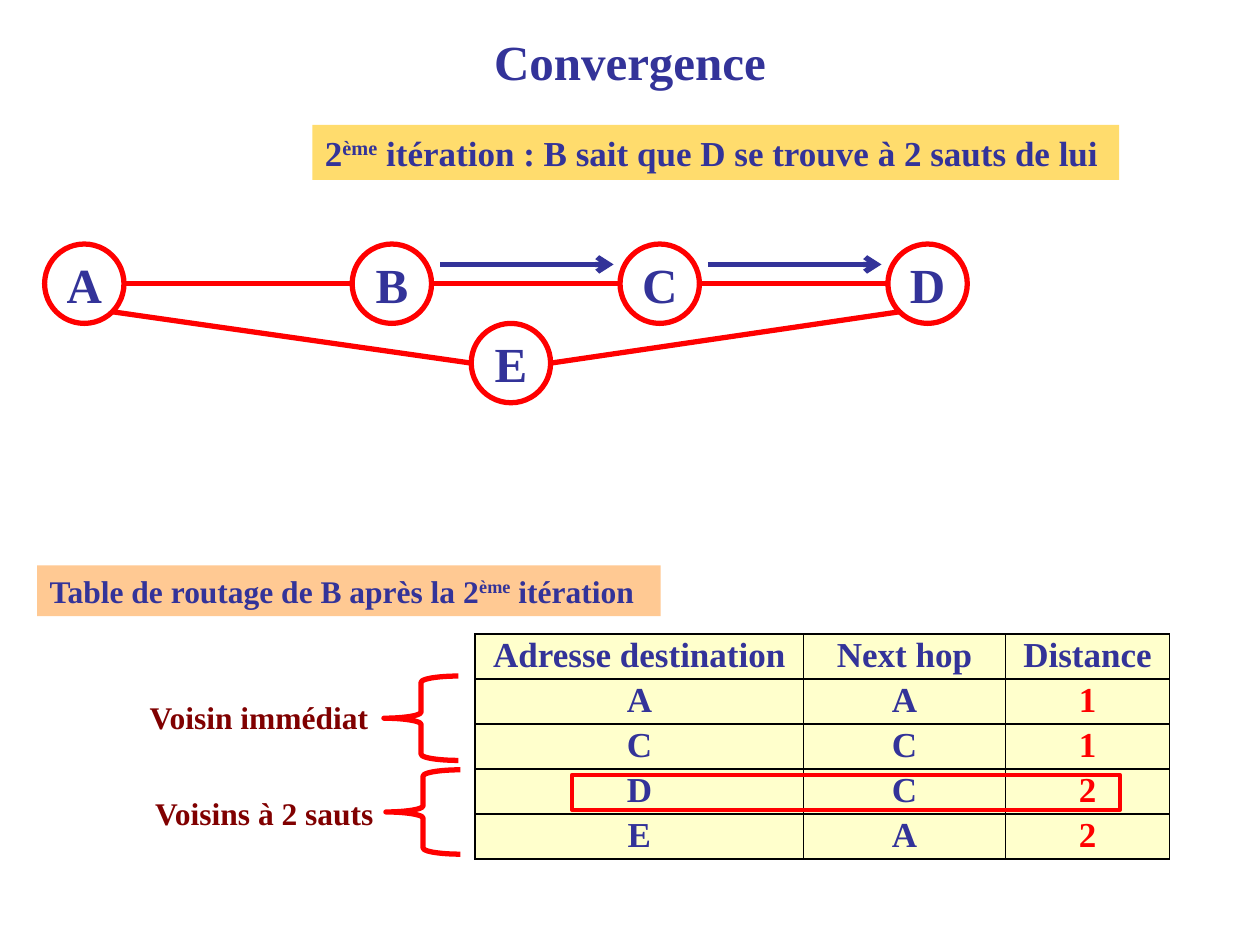
from dataclasses import dataclass
from math import sqrt

from lxml import etree
from pptx import Presentation
from pptx import util as u
from pptx.dml.color import RGBColor
from pptx.enum import shapes, text
from pptx.oxml.ns import qn


@dataclass(frozen=True)
class Theme:
    font: str = "Times New Roman"
    ink: str = "333399"
    accent: str = "FF0000"
    label: str = "800000"
    grid: str = "000000"
    cell: str = "FFFFCC"
    gold: str = "FFDC6D"
    peach: str = "FFC993"
    large: int = 28
    medium: int = 20
    small: int = 18
    stroke: float = 3


def rgb(value):
    return RGBColor.from_string(value)


def box(*lengths):
    return [u.Cm(v) for v in lengths]


class Deck:
    def __init__(self, slide, theme):
        self.s = slide
        self.theme = theme

    def set_text(self, tf, content, size, color=None, align=text.PP_ALIGN.CENTER, before=0.2):
        """Fill the frame; parts between ^ marks are superscript, before is a share of size."""
        p = tf.paragraphs[0]
        first, *rest = content.split("^")
        p.text = first
        for part in rest:
            p.add_run().text = part
        p.alignment = align
        p.space_before = u.Pt(size * before)
        for i, r in enumerate(p.runs):
            r.font.name, r.font.size, r.font.bold = self.theme.font, u.Pt(size), True
            r.font.color.rgb = rgb(color or self.theme.ink)
            if i % 2:
                r.font._element.set("baseline", "30000")
        return p

    def textbox(self, rect, content, size, fill=None, anchor=text.MSO_ANCHOR.TOP, **style):
        sp = self.s.shapes.add_textbox(*box(*rect))
        if fill:
            sp.fill.solid()
            sp.fill.fore_color.rgb = rgb(fill)
        tf = sp.text_frame
        tf.word_wrap = True
        tf.vertical_anchor = anchor
        self.set_text(tf, content, size, **style)

    def outline(self, kind, rect, width=None):
        sp = self.s.shapes.add_shape(kind, *box(*rect))
        sp.shadow.inherit = False
        sp.fill.background()
        sp.line.color.rgb = rgb(self.theme.accent)
        sp.line.width = u.Pt(width or self.theme.stroke)
        return sp

    def node(self, name, center, radius):
        x, y = center
        sp = self.outline(shapes.MSO_SHAPE.OVAL,
                          (x - radius, y - radius, 2 * radius, 2 * radius))
        tf = sp.text_frame
        tf.margin_left = tf.margin_right = tf.margin_top = tf.margin_bottom = 0
        tf.vertical_anchor = text.MSO_ANCHOR.MIDDLE
        self.set_text(tf, name, self.theme.large)

    def line(self, start, end, color, arrow=False):
        cx = self.s.shapes.add_connector(shapes.MSO_CONNECTOR.STRAIGHT, *box(*start, *end))
        cx.line.color.rgb = rgb(color)
        cx.line.width = u.Pt(self.theme.stroke)
        spPr = cx._element.spPr
        if arrow:
            etree.SubElement(spPr.find(qn("a:ln")), qn("a:tailEnd"), type="arrow")
        etree.SubElement(spPr, qn("a:effectLst"))

    def borders(self, cell):
        tcPr = cell._tc.get_or_add_tcPr()
        for side in "LRTB":
            ln = etree.SubElement(tcPr, qn(f"a:ln{side}"), w=str(u.Pt(1)))
            fill = etree.SubElement(ln, qn("a:solidFill"))
            etree.SubElement(fill, qn("a:srgbClr"), val=self.theme.grid)

    def table(self, left, top, widths, row_height, rows):
        height = row_height * len(rows)
        frame = self.s.shapes.add_table(len(rows), len(widths),
                                        *box(left, top, sum(widths), height))
        table = frame.table
        for column, width in zip(table.columns, widths):
            column.width = u.Cm(width)
        for i, values in enumerate(rows):
            table.rows[i].height = u.Cm(row_height)
            for j, value in enumerate(values):
                cell = table.cell(i, j)
                cell.margin_left = cell.margin_right = u.Cm(0.18)
                cell.margin_top = cell.margin_bottom = 0
                self.borders(cell)
                cell.fill.solid()
                cell.fill.fore_color.rgb = rgb(self.theme.cell)
                color = self.theme.accent if value.isdigit() else self.theme.ink
                p = self.set_text(cell.text_frame, value, self.theme.medium, color, before=0)
                p.line_spacing = 1.07


def draw_network(deck):
    t = deck.theme
    radius = 0.8
    y = 5.72
    nodes = {"A": (1.7, y), "B": (7.9, y), "C": (13.3, y), "D": (18.7, y),
             "E": (10.3, y + 2 * radius)}
    for name, center in nodes.items():
        deck.node(name, center, radius)

    for a, b in ("AB", "BC", "CD"):
        deck.line((nodes[a][0] + radius, y), (nodes[b][0] - radius, y), t.accent)

    diagonal = radius / sqrt(2)
    ex, ey = nodes["E"]
    for name, side in (("A", -1), ("D", 1)):
        deck.line((ex + side * radius, ey),
                  (nodes[name][0] - side * diagonal, y + diagonal), t.accent)

    arrow_y = y - 0.39
    for name in "BC":
        start = nodes[name][0] + 0.97
        deck.line((start, arrow_y), (start + 3.5, arrow_y), t.ink, arrow=True)


def draw_routing(deck):
    t = deck.theme
    deck.textbox((0.75, 11.4, 12.57, 1.02), "Table de routage de B après la 2^ème^ itération",
                 t.small, fill=t.peach, align=text.PP_ALIGN.LEFT)
    deck.table(9.58, 12.78, (6.62, 4.07, 3.31), 0.9, [
        ("Adresse destination", "Next hop", "Distance"),
        ("A", "A", "1"),
        ("C", "C", "1"),
        ("D", "C", "2"),
        ("E", "A", "2"),
    ])
    groups = [("Voisin immédiat ", (1.9, 13.94), (7.74, 13.63)),
              ("Voisins à 2 sauts", (1.93, 15.88), (7.78, 15.52))]
    for label, label_at, brace_at in groups:
        deck.textbox((*label_at, 6.8, 1.02), label, t.small, color=t.label)
        deck.outline(shapes.MSO_SHAPE.LEFT_BRACE, (*brace_at, 1.5, 1.7))
    deck.outline(shapes.MSO_SHAPE.RECTANGLE, (11.53, 15.62, 11.05, 0.71), 2.25)


def main():
    prs = Presentation()
    prs.slide_width, prs.slide_height = box(25.4, 19.05)
    deck = Deck(prs.slides.add_slide(prs.slide_layouts[6]), Theme())
    t = deck.theme
    deck.textbox((1.27, 0.56, 22.86, 1.35), "Convergence", t.large,
                 anchor=text.MSO_ANCHOR.MIDDLE, before=0)
    deck.textbox((6.3, 2.52, 16.26, 1.11),
                 "2^ème^ itération : B sait que D se trouve à 2 sauts de lui",
                 t.medium, fill=t.gold, align=text.PP_ALIGN.LEFT)
    draw_network(deck)
    draw_routing(deck)
    prs.save("out.pptx")


if __name__ == "__main__":
    main()
